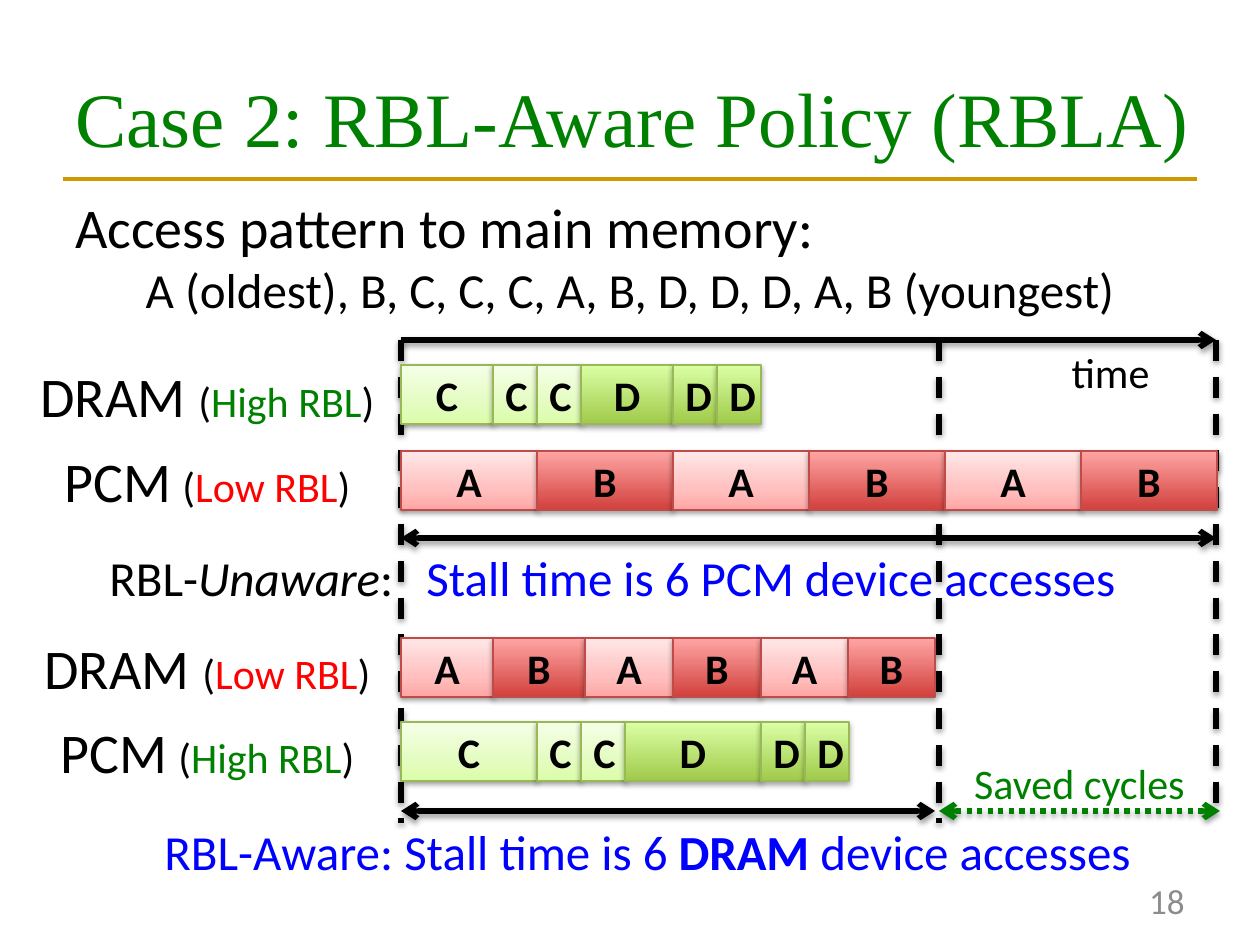
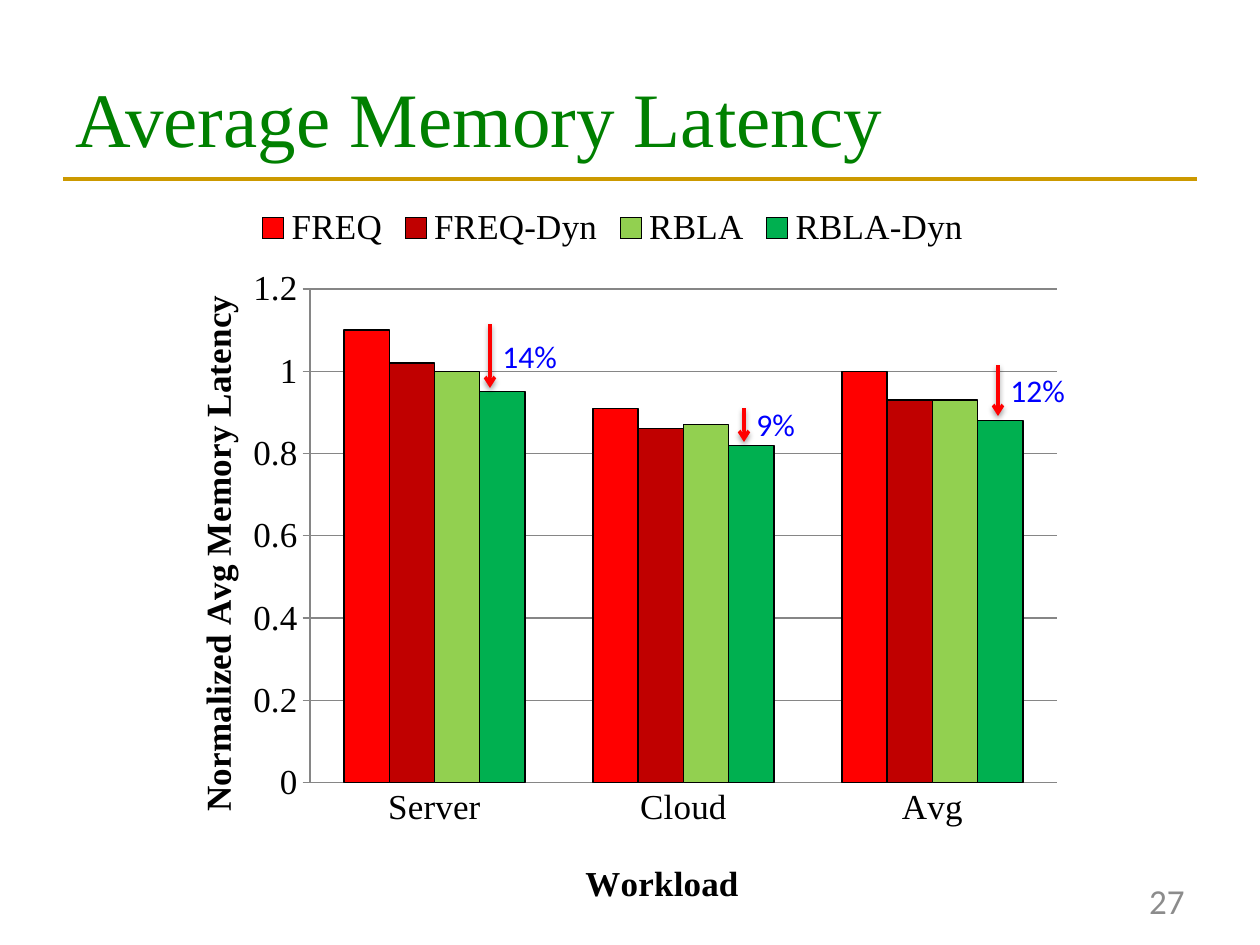
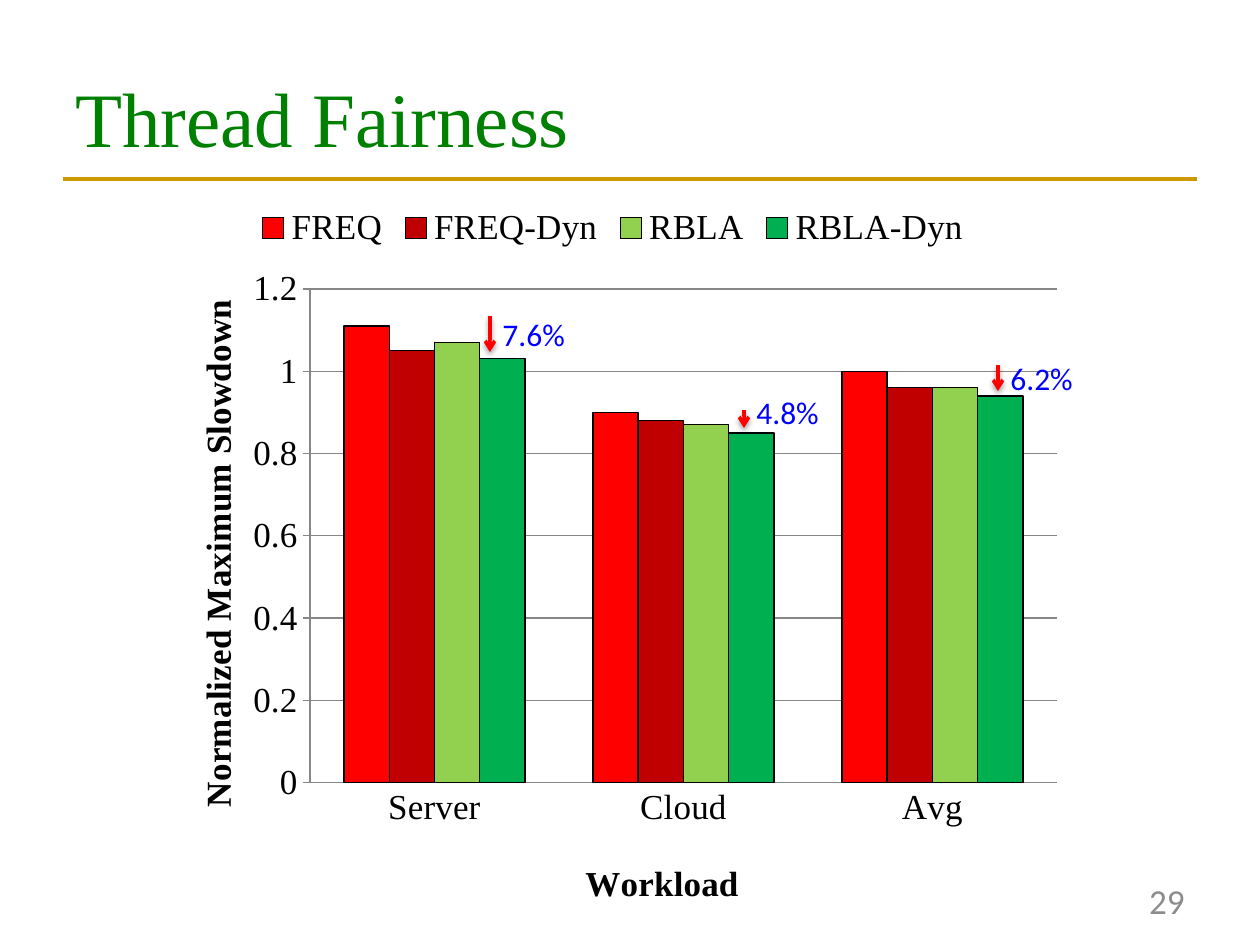
from dataclasses import dataclass

from lxml.etree import SubElement
from pptx import Presentation
from pptx.chart.data import CategoryChartData
from pptx.dml.color import RGBColor
from pptx.enum.chart import XL_CHART_TYPE as CHART, XL_LEGEND_POSITION as LEGEND
from pptx.enum.chart import XL_TICK_MARK as TICK
from pptx.enum.dml import MSO_LINE as DASH
from pptx.enum.shapes import MSO_CONNECTOR as CONNECTOR, MSO_SHAPE as SHAPE
from pptx.enum.text import MSO_ANCHOR as ANCHOR, PP_ALIGN as ALIGN
from pptx.oxml.ns import qn
from pptx.util import Emu, Pt

PX_PER_INCH = 126


@dataclass(frozen=True)
class Theme:
    body: str = "Calibri"
    serif: str = "Times New Roman"
    black: str = "000000"
    green: str = "008000"
    red: str = "FF0000"
    blue: str = "0000FF"
    gold: str = "CC9900"
    gray: str = "8C8C8C"
    axis: str = "868686"
    title: int = 44
    large: int = 32
    medium: int = 28
    small: int = 24
    note: int = 20
    callout: int = 18


T = Theme()

# Shadow: opacity in percent, distance in EMU
SOFT, FIRM = (38, 20000), (35, 23000)

# Look of each memory request: gradient stops, outline, shadow
PINK = ([(0, "FFA6A5"), (35, "FFC0BF"), (100, "FFE7E7")], "BF4C48", SOFT)
CRIMSON = ([(0, "D1403C"), (100, "FFA6A5")], "BF4C48", FIRM)
PALE = ([(0, "DAFDA7"), (35, "E4FCC2"), (100, "F5FFE7")], "98B955", SOFT)
LIME = ([(0, "A0CA4A"), (100, "DAFFA5")], "98B955", FIRM)
REQUESTS = {"A": PINK, "B": CRIMSON, "C": PALE, "D": LIME}

SERIES_COLORS = {"FREQ": "FF0000", "FREQ-Dyn": "C00000",
                 "RBLA": "92D050", "RBLA-Dyn": "00B050"}
WORKLOADS = ("Server", "Cloud", "Avg")

# Chart frame and its plot area
CHART_BOX = (152, 192, 922, 731)
PLOT_BOX = (310, 289, 747, 494)


def px(n):
    return Emu(round(n * 914400 / PX_PER_INCH))


def set_font(font, **fmt):
    for key, value in fmt.items():
        if key == "color":
            font.color.rgb = RGBColor.from_string(value)
        else:
            setattr(font, key, Pt(value) if key == "size" else value)


def set_line(line, color, width):
    line.color.rgb = RGBColor.from_string(color)
    line.width = Pt(width)


def add_effects(sp, shadow=None):
    """Replace the inherited effects by the given shadow, or by none."""
    effects = SubElement(sp._element.spPr, qn("a:effectLst"))
    if shadow:
        opacity, dist = shadow
        outer = SubElement(effects, qn("a:outerShdw"), blurRad="40000",
                           dist=str(dist), dir="5400000", rotWithShape="0")
        color = SubElement(outer, qn("a:srgbClr"), val=T.black)
        SubElement(color, qn("a:alpha"), val=str(opacity * 1000))


def write(tf, paragraphs, anchor=ANCHOR.TOP, wrap=True):
    """Each paragraph is (alignment, [(text, format), ...])."""
    tf.word_wrap, tf.vertical_anchor = wrap, anchor
    for i, (align, runs) in enumerate(paragraphs):
        p = tf.add_paragraph() if i else tf.paragraphs[0]
        p.alignment = align
        for text, fmt in runs:
            r = p.add_run()
            r.text = text
            set_font(r.font, **{"name": T.body, "color": T.black, **fmt})


def add_text(s, box, paragraphs, **kw):
    tb = s.shapes.add_textbox(*map(px, box))
    write(tb.text_frame, paragraphs, **kw)
    return tb


def add_line(s, start, end, color=T.black, width=3, dash=None, arrows=(), shadow=SOFT):
    c = s.shapes.add_connector(CONNECTOR.STRAIGHT, *map(px, (*start, *end)))
    set_line(c.line, color, width)
    if dash:
        c.line.dash_style = dash
    for tip in arrows:
        SubElement(c.line._get_or_add_ln(), qn("a:" + tip), type="arrow")
    add_effects(c, shadow)


def add_request(s, x, y, w, name):
    stops, outline, shadow = REQUESTS[name]
    sp = s.shapes.add_shape(SHAPE.RECTANGLE, *map(px, (x, y, w, 59)))
    sp.fill.gradient()
    sp.fill.gradient_angle = 90
    stop_list = sp._element.spPr.find(".//" + qn("a:gsLst"))
    stop_list.clear()
    for pos, color in stops:
        gs = SubElement(stop_list, qn("a:gs"), pos=str(pos * 1000))
        SubElement(gs, qn("a:srgbClr"), val=color)
    set_line(sp.line, outline, 0.75)
    add_effects(sp, shadow)
    write(sp.text_frame, [(ALIGN.CENTER, [(name, dict(size=T.small, bold=True))])],
          anchor=ANCHOR.MIDDLE)


def add_requests(s, x, y, names, widths):
    for name, w in zip(names, widths):
        add_request(s, x, y, w, name)
        x += w


def add_device_label(s, y, device, locality, color):
    gap = T.large if device == "DRAM" else T.medium
    add_text(s, (25, y, 365, 81), [(ALIGN.CENTER, [
        (device, dict(size=T.large)), (" ", dict(size=gap)),
        ("(", dict(size=T.small)),
        (locality, dict(size=T.small, color=color)),
        (")", dict(size=T.small))])])


def add_base(prs, title, number, title_width=1134):
    """A slide with the shared rule, title and page number."""
    s = prs.slides.add_slide(prs.slide_layouts[6])
    add_line(s, (63, 179), (1197, 179), T.gold, 2.25, shadow=None)
    add_text(s, (63, 38, title_width, 157), [(ALIGN.LEFT, [
        (title, dict(size=T.title, name=T.serif, color=T.green))])],
        anchor=ANCHOR.MIDDLE)
    add_text(s, (903, 876, 294, 50), [(ALIGN.RIGHT, [
        (str(number), dict(size=T.note, color=T.gray))])], anchor=ANCHOR.MIDDLE)
    return s


def place(el, index, x, y, w=None, h=None, inner=False):
    """Give a chart part a fixed place, in slide pixels."""
    for old in el.findall(qn("c:layout")):
        el.remove(old)
    layout = SubElement(el, qn("c:layout"))
    el.insert(index, layout)
    manual = SubElement(layout, qn("c:manualLayout"))
    left, top, width, height = CHART_BOX
    if inner:
        SubElement(manual, qn("c:layoutTarget"), val="inner")
    for tag in ("xMode", "yMode"):
        SubElement(manual, qn("c:" + tag), val="edge")
    parts = {"x": (x - left) / width, "y": (y - top) / height}
    if w:
        parts.update(w=w / width, h=h / height)
    for tag, value in parts.items():
        SubElement(manual, qn("c:" + tag), val=f"{value:.4f}")


def add_axis_title(axis, text, x, y, rotation=0):
    title = axis.axis_title
    tf = title.text_frame
    tf.text = text
    set_font(tf.paragraphs[0].runs[0].font, name=T.serif, size=T.note,
             bold=True, color=T.black)
    body = title._element.find(".//" + qn("a:bodyPr"))
    body.set("rot", str(rotation * 60000))
    body.set("vert", "horz")
    place(title._element, 1, x, y)


def add_workload_chart(s, measure, measure_top, values):
    data = CategoryChartData()
    data.categories = WORKLOADS
    for name, row in zip(SERIES_COLORS, values):
        data.add_series(name, row)
    chart = s.shapes.add_chart(CHART.COLUMN_CLUSTERED, *map(px, CHART_BOX), data).chart
    set_font(chart.font, name=T.serif, size=T.note, color=T.black)
    chart.has_title = False
    chart.has_legend = True
    chart.legend.position = LEGEND.TOP
    chart.legend.include_in_layout = False

    # Columns
    plot = chart.plots[0]
    plot.gap_width, plot.overlap, plot.vary_by_categories = 150, 0, False
    for ser, color in zip(plot.series, SERIES_COLORS.values()):
        ser.format.fill.solid()
        ser.format.fill.fore_color.rgb = RGBColor.from_string(color)
        set_line(ser.format.line, T.black, 0.75)

    # Axes
    cat, val = chart.category_axis, chart.value_axis
    cat.major_tick_mark, val.major_tick_mark = TICK.NONE, TICK.OUTSIDE
    val.minimum_scale, val.maximum_scale, val.major_unit = 0, 1.2, 0.2
    val.has_major_gridlines = True
    for part in (cat, val, val.major_gridlines):
        set_line(part.format.line, T.axis, 0.75)
    add_axis_title(cat, "Workload", 579, 855)
    add_axis_title(val, measure, 189, measure_top, rotation=-90)
    plot_area = chart._chartSpace.find(".//" + qn("c:plotArea"))
    place(plot_area, 0, *PLOT_BOX, inner=True)


def add_reductions(s, reductions, width):
    """Arrows above the last column of each workload: top, bottom, label."""
    for i, (top, bottom, label_top, label) in enumerate(reductions):
        x = 490 + 254 * i
        add_line(s, (x, bottom), (x, top), T.red, 2, arrows=["headEnd"])
        add_text(s, (x, label_top, width, 50), [(ALIGN.LEFT, [
            (label, dict(size=T.callout, color=T.blue))])])


def policy_slide(prs):
    s = add_base(prs, "Case 2: RBL-Aware Policy (RBLA)", 18, title_width=1197)
    start, saved, end = 401, 939, 1216
    both = ("headEnd", "tailEnd")
    miss_pcm, miss_dram, hit = 136, 92, 44

    # Time marks
    for x, bottom in ((end, 815), (start, 823), (saved, 823)):
        add_line(s, (x, 340), (x, bottom), dash=DASH.DASH)

    # Access pattern
    add_text(s, (63, 186, 1134, 144), [
        (ALIGN.LEFT, [("Access pattern to main memory:", dict(size=T.large))]),
        (ALIGN.CENTER, [("A (oldest), B, C, C, C, A, B, D, D, D, A, B (youngest)",
                         dict(size=T.medium))])])
    add_line(s, (start, 340), (end, 340), arrows=["tailEnd"])
    add_text(s, (1058, 340, 105, 63),
             [(ALIGN.CENTER, [("time", dict(size=T.small))])], wrap=False)

    # Device rows
    for y, device, locality, color in (
            (355, "DRAM", "High RBL", T.green), (440, "PCM", "Low RBL", T.red),
            (627, "DRAM", "Low RBL", T.red), (711, "PCM", "High RBL", T.green)):
        add_device_label(s, y, device, locality, color)
    for y, names, widths in (
            (365, "CCCDDD", [miss_dram, hit, hit] * 2),
            (451, "ABABAB", [miss_pcm] * 6),
            (638, "ABABAB", [miss_dram, miss_dram, 88, 88, 87, 87]),
            (722, "CCCDDD", [miss_pcm, hit, hit] * 2)):
        add_requests(s, start, y, names, widths)

    # Stall time without awareness; a tab stop separates name and result
    add_line(s, (start, 538), (end, 538), arrows=both)
    size = dict(size=T.medium)
    tb = add_text(s, (97, 541, 1120, 72), [(ALIGN.LEFT, [
        ("RBL-", size), ("Unaware", dict(size, italic=True)), (":\t", size),
        ("Stall time is 6 PCM device accesses", dict(size, color=T.blue))])])
    tabs = SubElement(tb.text_frame.paragraphs[0]._p.get_or_add_pPr(), qn("a:tabLst"))
    SubElement(tabs, qn("a:tab"), pos=str(px(317)), algn="l")

    # Stall time with awareness
    add_line(s, (start, 811), (935, 811), arrows=both)
    add_line(s, (saved, 811), (1220, 811), T.green, dash=DASH.ROUND_DOT, arrows=both)
    add_text(s, (960, 751, 239, 63), [(ALIGN.CENTER, [
        ("Saved cycles", dict(size=T.small, color=T.green))])], wrap=False)
    size = dict(size=T.medium, color=T.blue)
    add_text(s, (152, 815, 1067, 72), [(ALIGN.LEFT, [
        ("RBL-Aware: Stall time is 6 ", size), ("DRAM", dict(size, bold=True)),
        (" device accesses", size)])])


def latency_slide(prs):
    s = add_base(prs, "Average Memory Latency", 27)
    add_workload_chart(s, "Normalized Avg Memory Latency", 289, [
        (1.1, 0.91, 1), (1.02, 0.86, 0.93), (1, 0.87, 0.93), (0.95, 0.82, 0.88)])
    add_reductions(s, [(324, 388, 331, "14%"), (408, 442, 399, "9%"),
                       (365, 416, 365, "12%")], 82)


def fairness_slide(prs):
    s = add_base(prs, "Thread Fairness", 29)
    add_workload_chart(s, "Normalized Maximum Slowdown", 293, [
        (1.11, 0.9, 1), (1.05, 0.88, 0.96), (1.07, 0.87, 0.96), (1.03, 0.85, 0.94)])
    add_reductions(s, [(316, 352, 309, "7.6%"), (410, 428, 387, "4.8%"),
                       (365, 391, 353, "6.2%")], 97)


def main():
    prs = Presentation()
    prs.slide_width, prs.slide_height = px(1260), px(945)
    policy_slide(prs)
    latency_slide(prs)
    fairness_slide(prs)
    prs.save("out.pptx")


main()
